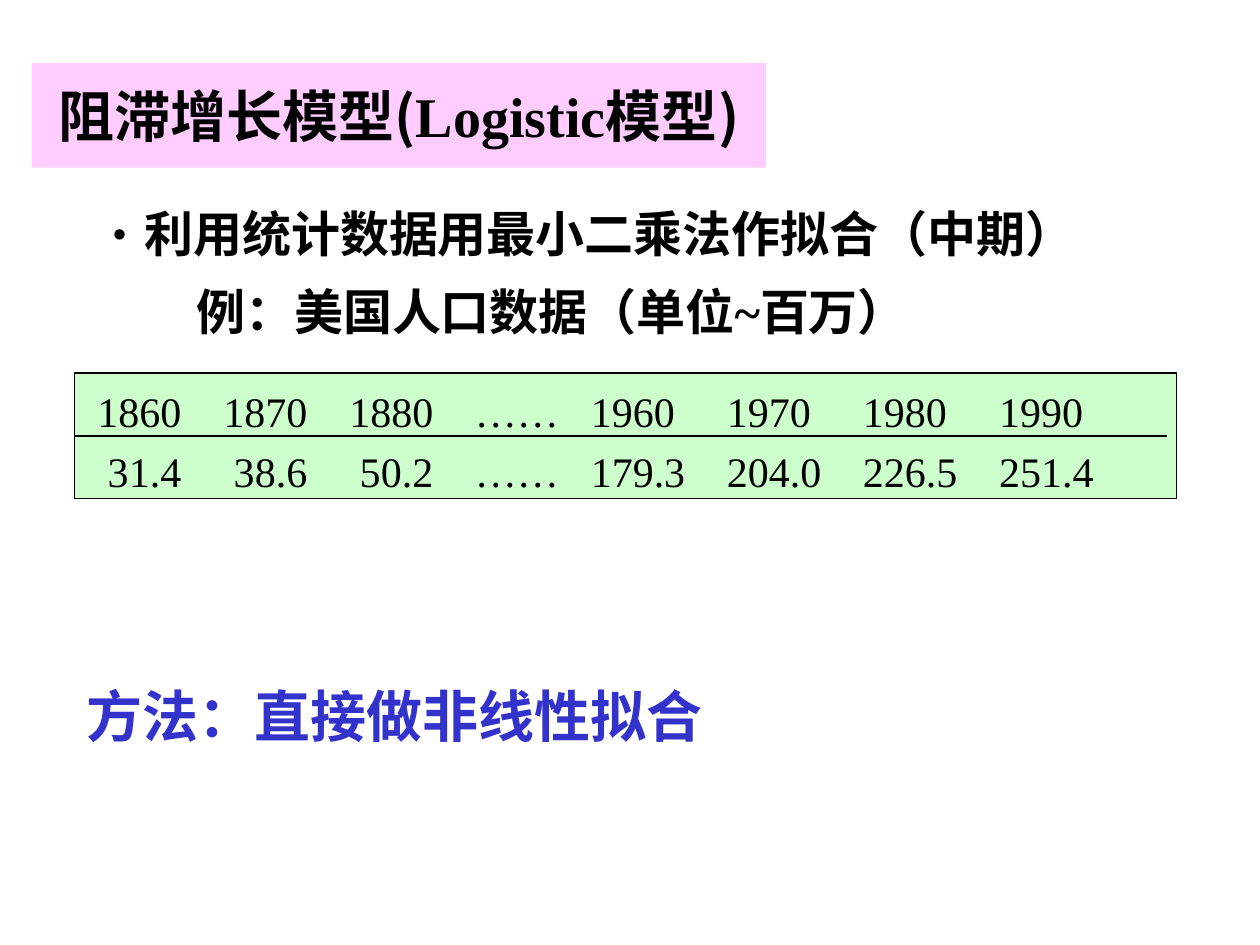
"""Build the slide on the logistic growth model and its population data."""
import pptx
import pptx.dml.color
import pptx.enum.shapes
import pptx.enum.text
import pptx.oxml
import pptx.oxml.ns
import pptx.util
from pptx.util import Inches

INK = {"text": "000000", "blue": "3333CC", "pink": "FFCCFF", "green": "CCFFCC"}
SANS, SERIF = "Noto Sans CJK SC", "Times New Roman"
ALIGN, ANCHOR = pptx.enum.text.PP_ALIGN, pptx.enum.text.MSO_ANCHOR
YEARS = ["1860", "1870", "1880", "……", "1960", "1970", "1980", "1990"]
COUNTS = ["31.4", "38.6", "50.2", "……", "179.3", "204.0", "226.5", "251.4"]
STOPS = [("r", 0.75 + i) for i in range(3)] + [("l", 3.08)]
STOPS += [("l", 4 + 1.08 * i) for i in range(4)]


def color(name):
    """Return the named colour."""
    return pptx.dml.color.RGBColor.from_string(INK[name])


def node(tag, **attrs):
    """Make a drawing element with the given attributes."""
    item = pptx.oxml.parse_xml(f"<a:{tag} {pptx.oxml.ns.nsdecls('a')}/>")
    for key, value in attrs.items():
        item.set(key, str(value))
    return item


def apply(target, values):
    """Set attributes of an object from a dict."""
    for key, value in values.items():
        setattr(target, key, value)


def place(shape, left, top, width, height):
    """Move and size a shape, in inches."""
    names = ("left", "top", "width", "height")
    apply(shape, dict(zip(names, map(Inches, (left, top, width, height)))))


def write(para, parts, size, bold=True, ink="text"):
    """Add text runs, each given with its font."""
    for text, face in parts:
        run = para.add_run()
        run.text = text
        apply(run.font, {"size": pptx.util.Pt(size), "bold": bold, "name": face})
        run.font.color.rgb = color(ink)
        run.font._element.find(pptx.oxml.ns.qn("a:latin")).addnext(
            node("ea", typeface=SANS))


def frame(shape, **values):
    """Format a text frame and return its first paragraph."""
    body = shape.text_frame
    apply(body, {"auto_size": pptx.enum.text.MSO_AUTO_SIZE.NONE,
                 "word_wrap": False, "vertical_anchor": ANCHOR.MIDDLE, **values})
    return body.paragraphs[0]


def add_title(slide):
    """Fill the title placeholder."""
    title = slide.shapes.title
    place(title, 0.25, 0.5, 5.83, 0.83)
    title.fill.solid()
    title.fill.fore_color.rgb = color("pink")
    para = frame(title, margin_left=0, margin_right=0)
    para.alignment = ALIGN.CENTER
    write(para, [("阻滞增长模型(", SANS), ("Logistic", SERIF), ("模型)", SANS)], 32)


def add_text(slide, box, text, size, face=SERIF, ink="text", bullet=False, **values):
    """Add a left-aligned text box, with a bullet if asked."""
    shape = slide.shapes.add_textbox(*map(Inches, box))
    para = frame(shape, **values)
    para.alignment = ALIGN.LEFT
    if bullet:
        props = para._p.get_or_add_pPr()
        for key, value in {"marL": 0.39, "indent": -0.32}.items():
            props.set(key, str(Inches(value)))
        props.append(node("buFont", typeface=SANS))
        props.append(node("buChar", char="•"))
    write(para, [(text, face)], size, ink=ink)


def add_data(slide):
    """Add the panel of years and counts with its dividing line."""
    kind = pptx.enum.shapes.MSO_SHAPE.RECTANGLE
    panel = slide.shapes.add_shape(kind, *map(Inches, (0.59, 2.96, 8.75, 1)))
    panel.shadow.inherit = False
    panel.fill.solid()
    panel.fill.fore_color.rgb = color("green")
    first = frame(panel, word_wrap=True)
    for para, row in ((first, YEARS), (panel.text_frame.add_paragraph(), COUNTS)):
        apply(para, {"alignment": ALIGN.LEFT, "line_spacing": 1.2})
        tabs = node("tabLst")
        for side, stop in STOPS:
            tabs.append(node("tab", pos=Inches(stop), algn=side))
        para._p.get_or_add_pPr().append(tabs)
        write(para, [("".join("\t" + cell for cell in row), SERIF)], 24, bold=False)
    rule = slide.shapes.add_connector(
        pptx.enum.shapes.MSO_CONNECTOR.STRAIGHT,
        *map(Inches, (0.59, 3.46, 9.26, 3.46)))
    rule._element.spPr.append(node("effectLst"))
    for shape in (panel, rule):
        shape.line.color.rgb = color("text")
        shape.line.width = pptx.util.Pt(0.75)


def main():
    """Build and save the slide."""
    deck = pptx.Presentation()
    apply(deck, {"slide_width": Inches(10), "slide_height": Inches(7.5)})
    slide = deck.slides.add_slide(deck.slide_layouts[5])
    add_title(slide)
    add_text(slide, (0.59, 1.47, 8.03, 0.75),
             "利用统计数据用最小二乘法作拟合（中期）", 28, SANS, bullet=True)
    add_text(slide, (1.46, 2.18, 5.58, 0.58), "例：美国人口数据（单位~百万）", 28)
    add_data(slide)
    add_text(slide, (0.59, 4.54, 8.9, 1.45), "方法：直接做非线性拟合", 32, ink="blue",
             word_wrap=True, vertical_anchor=ANCHOR.BOTTOM)
    deck.save("out.pptx")


if __name__ == "__main__":
    main()
